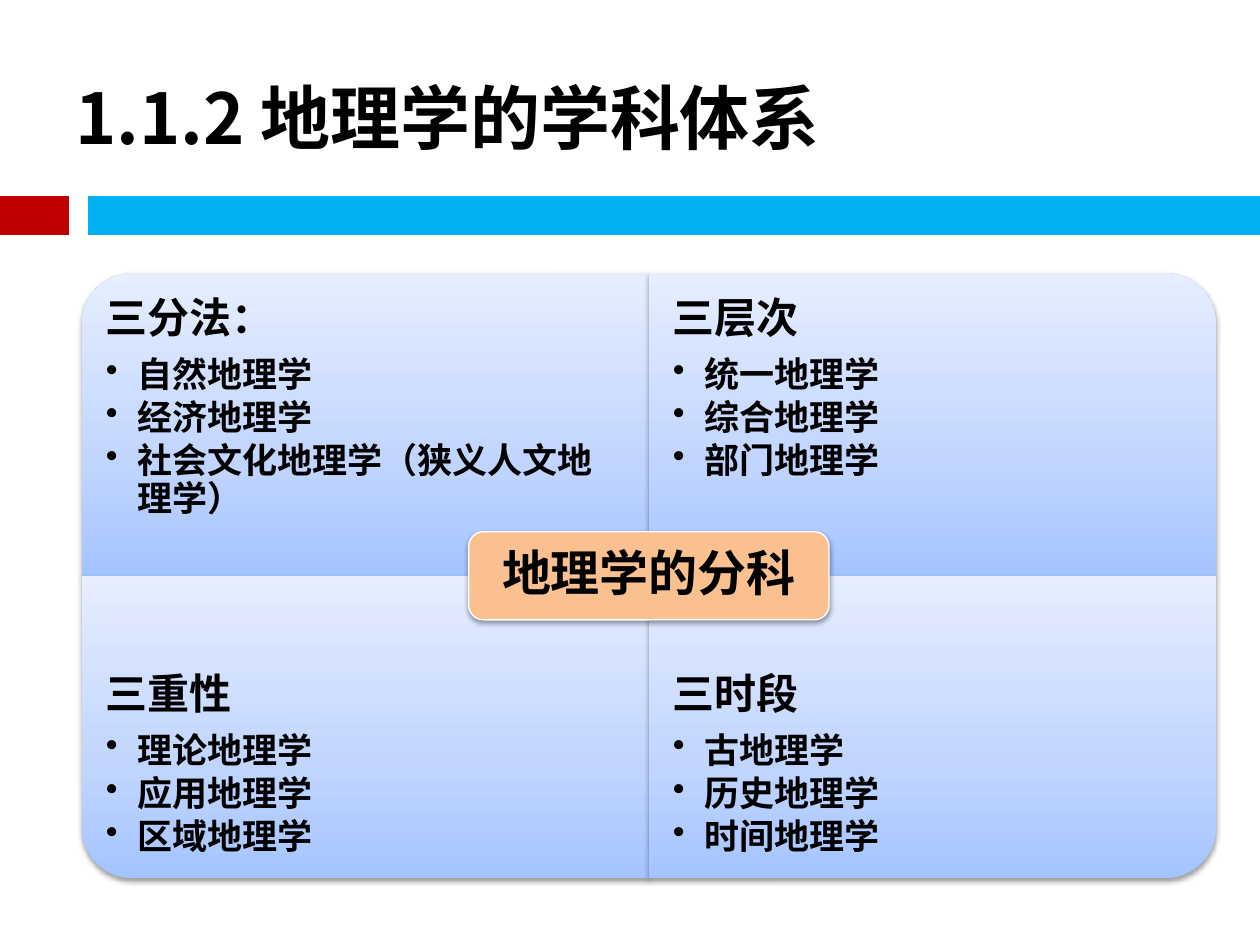
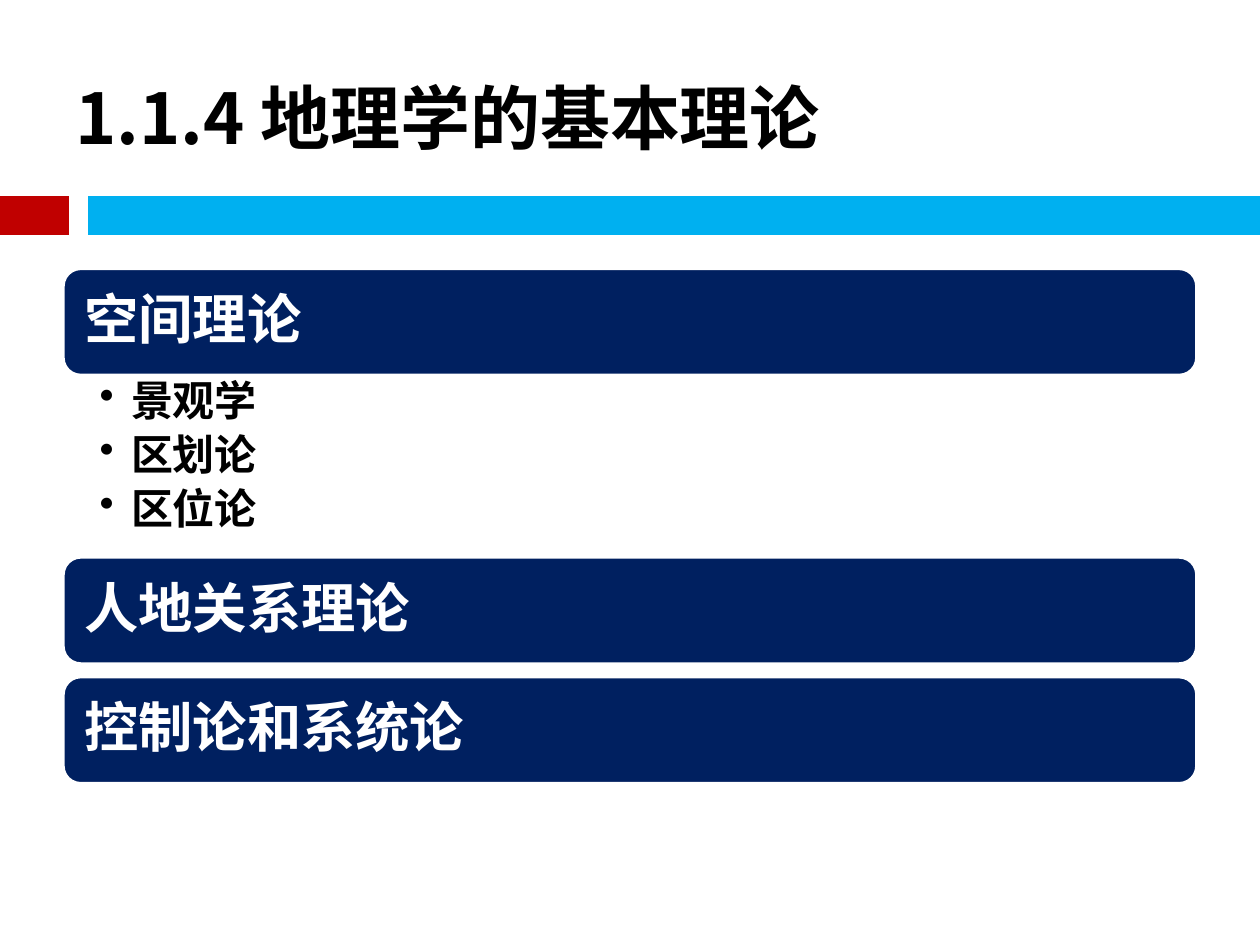
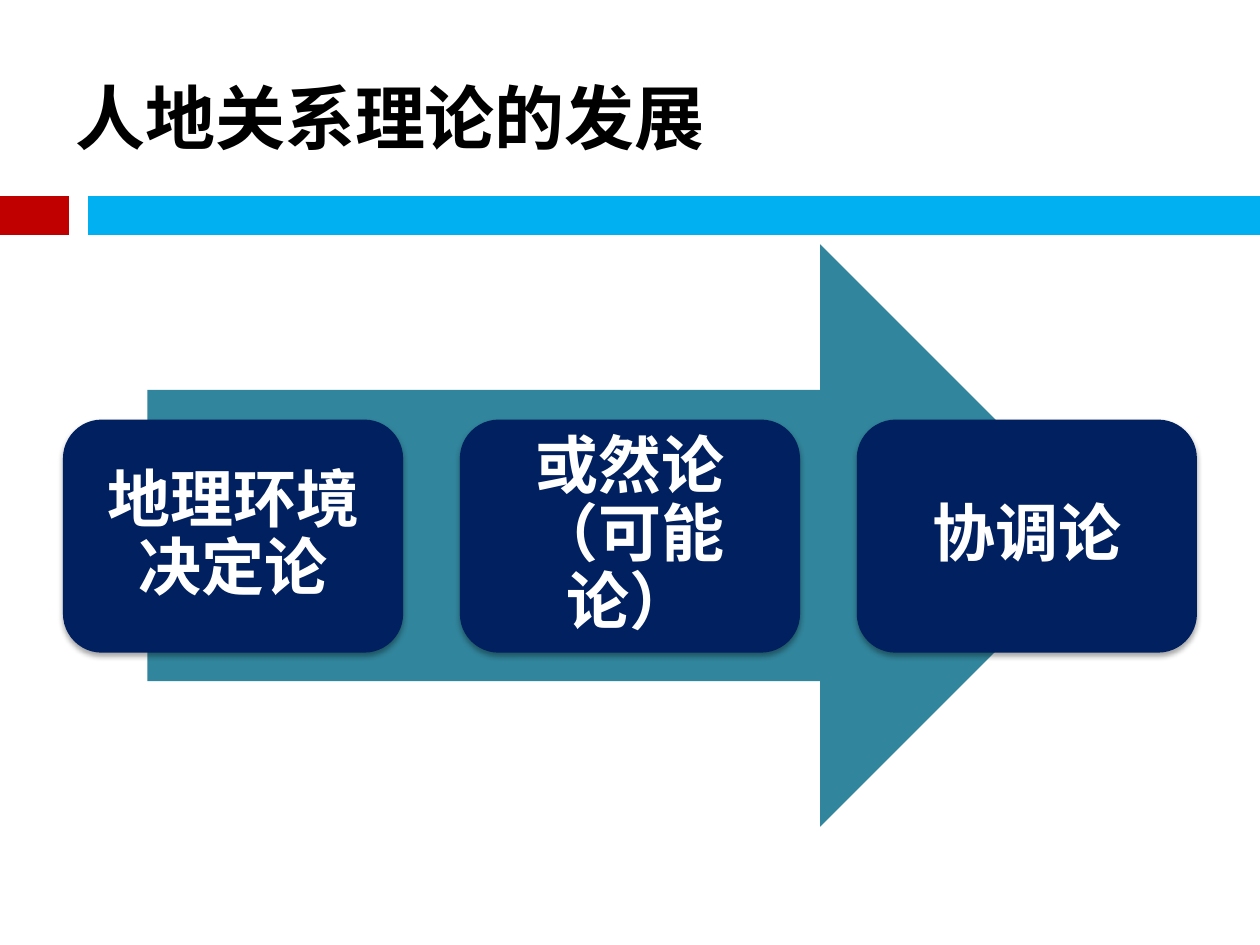
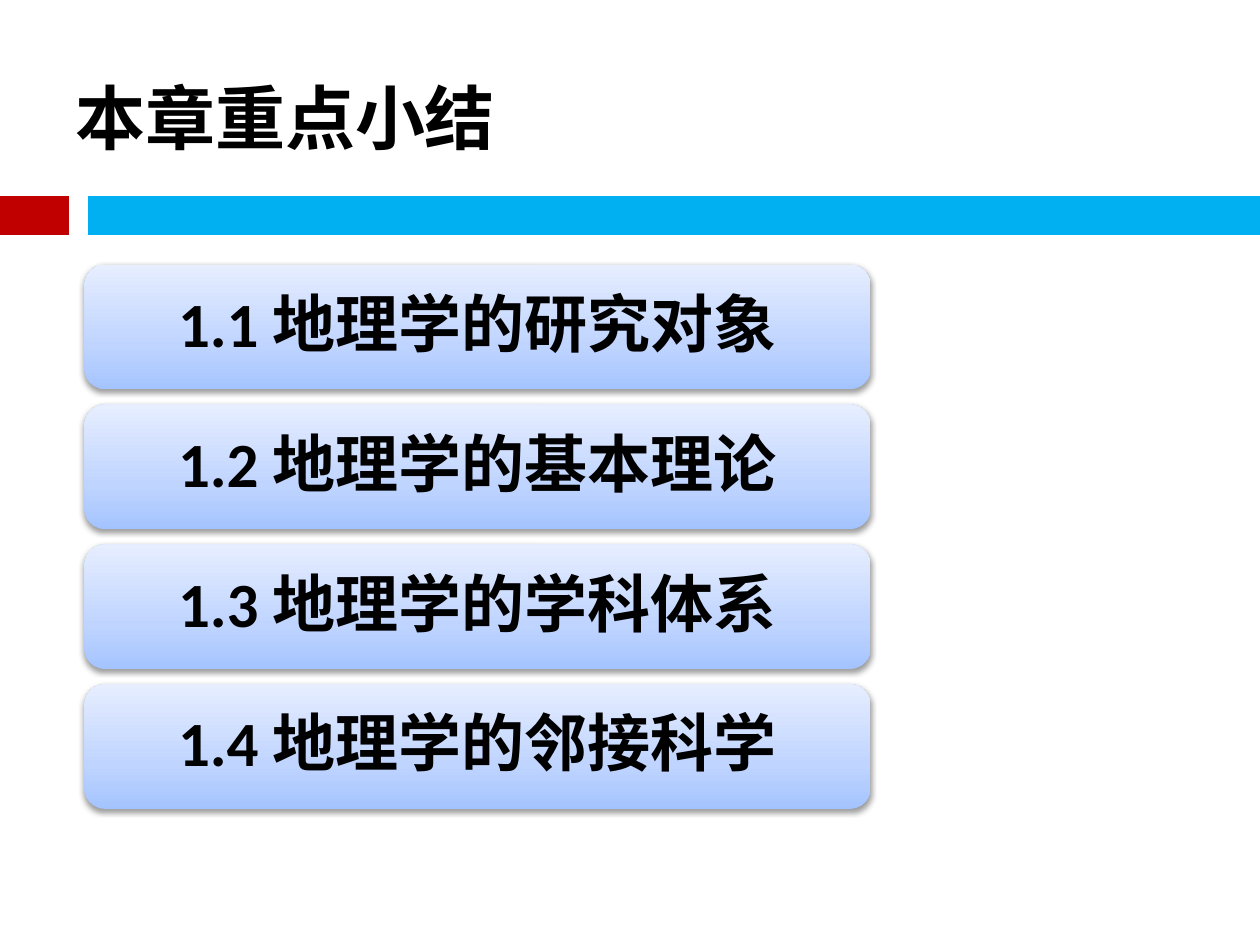
from pptx import Presentation
from pptx.dml.color import RGBColor
from pptx.enum.shapes import MSO_CONNECTOR, MSO_SHAPE
from pptx.enum.text import MSO_ANCHOR, PP_ALIGN
from pptx.oxml import parse_xml
from pptx.oxml.ns import nsdecls, qn
from pptx.oxml.xmlchemy import OxmlElement
from pptx.util import Inches, Pt

COLORS = {
    "black": "000000",
    "white": "FFFFFF",
    "red": "C00000",
    "sky": "00B0F0",
    "navy": "002060",
    "teal": "31859C",
    "peach": "FAC090",
}
GRADIENT_STOPS = [(0, "A4C4FF"), (35, "BFD4FF"), (100, "E6EEFF")]
TITLE_FONT = "Noto Sans CJK SC"
BODY_FONT = "Calibri"


class Deck:
    """Hold the shared style and the slide being built."""

    def __init__(self):
        self.presentation = Presentation()
        self.presentation.slide_width = Inches(10)
        self.presentation.slide_height = Inches(7.5)
        self.slide = None

    def new_slide(self, title):
        self.slide = self.presentation.slides.add_slide(self.presentation.slide_layouts[6])
        self.band(0, 0.55, "red")
        self.band(0.7, 10, "sky")
        box = self.slide.shapes.add_textbox(Inches(0.5), Inches(0.3), Inches(9), Inches(1.25))
        frame = box.text_frame
        frame.word_wrap = True
        frame.vertical_anchor = MSO_ANCHOR.MIDDLE
        frame.text = title
        self.style_runs(frame.paragraphs[0], 40, "black", TITLE_FONT)

    def band(self, start, end, color):
        line = self.slide.shapes.add_connector(
            MSO_CONNECTOR.STRAIGHT, Inches(start), Inches(1.71), Inches(end), Inches(1.71))
        line.line.color.rgb = RGBColor.from_string(COLORS[color])
        line.line.width = Pt(22)
        line._element.spPr.append(OxmlElement("a:effectLst"))

    def style_runs(self, paragraph, size, color, font=BODY_FONT):
        for run in paragraph.runs:
            run.font.size = Pt(size)
            run.font.bold = True
            run.font.name = font
            run.font.color.rgb = RGBColor.from_string(COLORS[color])
            east_asian = OxmlElement("a:ea")
            east_asian.set("typeface", font)
            run.font._element.append(east_asian)

    def shape(self, kind, left, top, width, height, fill=None, border=0, shadow=None):
        shape = self.slide.shapes.add_shape(
            kind, Inches(left), Inches(top), Inches(width), Inches(height))
        shape.shadow.inherit = False
        if fill:
            shape.fill.solid()
            shape.fill.fore_color.rgb = RGBColor.from_string(COLORS[fill])
        else:
            self.blue_gradient(shape)
        if border:
            shape.line.color.rgb = RGBColor.from_string(COLORS["white"])
            shape.line.width = Pt(border)
        else:
            shape.line.fill.background()
        if shadow:
            self.soft_shadow(shape, shadow)
        return shape

    def blue_gradient(self, shape):
        stops = "".join(
            f'<a:gs pos="{position * 1000}"><a:srgbClr val="{color}"/></a:gs>'
            for position, color in GRADIENT_STOPS)
        shape.fill.background()
        properties = shape._element.spPr
        properties.replace(properties.find(qn("a:noFill")), parse_xml(
            f'<a:gradFill {nsdecls("a")} rotWithShape="0"><a:gsLst>{stops}</a:gsLst>'
            '<a:lin ang="16200000" scaled="0"/></a:gradFill>'))

    def soft_shadow(self, shape, opacity):
        distance = Pt(1.8 if opacity == 35 else 1.6)
        shape._element.spPr.find(qn("a:effectLst")).append(parse_xml(
            f'<a:outerShdw {nsdecls("a")} blurRad="{Pt(3.1)}" dist="{distance}" '
            'dir="5400000" rotWithShape="0"><a:srgbClr val="000000">'
            f'<a:alpha val="{opacity * 1000}"/></a:srgbClr></a:outerShdw>'))

    def set_margins(self, frame, left, top, right, bottom):
        frame.word_wrap = True
        frame.margin_left, frame.margin_right = Inches(left), Inches(right)
        frame.margin_top, frame.margin_bottom = Inches(top), Inches(bottom)

    def label(self, shape, text, size, color, margin, align=PP_ALIGN.CENTER):
        frame = shape.text_frame
        self.set_margins(frame, margin, margin, margin, margin)
        frame.vertical_anchor = MSO_ANCHOR.MIDDLE
        frame.text = text
        paragraph = frame.paragraphs[0]
        paragraph.alignment = align
        paragraph.line_spacing = 0.9
        self.style_runs(paragraph, size, color)

    def bullet_list(self, area, margins, items, size, gap, heading=None, anchor=MSO_ANCHOR.TOP):
        box = self.slide.shapes.add_textbox(*[Inches(value) for value in area])
        frame = box.text_frame
        self.set_margins(frame, *margins)
        frame.vertical_anchor = anchor
        frame.text = "\n".join([heading, *items] if heading else items)
        for index, paragraph in enumerate(frame.paragraphs):
            is_heading = bool(heading) and index == 0
            if not is_heading:
                paragraph.level = 1
                properties = paragraph._element.get_or_add_pPr()
                properties.set("marL", str(Inches(0.25)))
                properties.set("indent", str(-Inches(0.25)))
                bullet = OxmlElement("a:buChar")
                bullet.set("char", "•")
                properties.append(bullet)
            paragraph.line_spacing = 0.9
            paragraph.space_after = Pt(8.4 if is_heading else gap)
            self.style_runs(paragraph, 24 if is_heading else size, "black")

    def quadrant(self, column, row, rotation, heading, items):
        width, height = 4.5, 2.4
        left, top = 0.65 + column * width, 2.17 + row * height
        if rotation in (90, 270):
            shift = (width - height) / 2
            frame = (left + shift, top - shift, height, width)
        else:
            frame = (left, top, width, height)
        shape = self.shape(MSO_SHAPE.ROUND_1_RECTANGLE, *frame, shadow=38)
        shape.rotation = rotation
        self.bullet_list(
            (left, top + row * 0.6, width, 1.8), (0.19,) * 4, items, 20, 3, heading,
            MSO_ANCHOR.MIDDLE if row else MSO_ANCHOR.TOP)


def build_branches(deck):
    """Four quadrants around the central topic."""
    deck.new_slide("1.1.2 地理学的学科体系")
    quadrants = [
        (0, 0, 270, "三分法：", ["自然地理学", "经济地理学", "社会文化地理学（狭义人文地理学）"]),
        (1, 0, 0, "三层次", ["统一地理学", "综合地理学", "部门地理学"]),
        (0, 1, 180, "三重性", ["理论地理学", "应用地理学", "区域地理学"]),
        (1, 1, 90, "三时段", ["古地理学", "历史地理学", "时间地理学"]),
    ]
    for quadrant in quadrants:
        deck.quadrant(*quadrant)
    center = deck.shape(
        MSO_SHAPE.ROUNDED_RECTANGLE, 3.72, 4.22, 2.86, 0.7, "peach", border=0.75, shadow=38)
    deck.label(center, "地理学的分科", 28, "black", 0.12)


def build_theories(deck):
    """Stacked theory bars with a list under the first."""
    deck.new_slide("1.1.4 地理学的基本理论")
    for top, theory in [(2.13, "空间理论"), (4.42, "人地关系理论"), (5.37, "控制论和系统论")]:
        bar = deck.shape(MSO_SHAPE.ROUNDED_RECTANGLE, 0.5, top, 9, 0.85, "navy", border=2)
        deck.label(bar, theory, 31, "white", 0.13, PP_ALIGN.LEFT)
    deck.bullet_list(
        (0.5, 2.98, 9, 1.44), (0.29, 0.04, 0.24, 0.04), ["景观学", "区划论", "区位论"], 24, 4.8)


def build_development(deck):
    """Three stages along an arrow."""
    deck.new_slide("人地关系理论的发展")
    deck.shape(MSO_SHAPE.RIGHT_ARROW, 1.17, 1.94, 7.65, 4.62, "teal")
    for index, stage in enumerate(["地理环境决定论", "或然论（可能论）", "协调论"]):
        card = deck.shape(
            MSO_SHAPE.ROUNDED_RECTANGLE, 0.5 + index * 3.15, 3.33, 2.7, 1.85, "navy", shadow=35)
        deck.label(card, stage, 36, "white", 0.15)


def build_summary(deck):
    """Four chapter headings in a column."""
    deck.new_slide("本章重点小结")
    topics = ["研究对象", "基本理论", "学科体系", "邻接科学"]
    for index, topic in enumerate(topics):
        card = deck.shape(
            MSO_SHAPE.ROUNDED_RECTANGLE, 0.67, 2.1 + index * 1.11, 6.24, 0.99, shadow=38)
        deck.label(card, f"1.{index + 1} 地理学的{topic}", 36, "black", 0.15)


def main():
    """Build and save the four slides."""
    deck = Deck()
    build_branches(deck)
    build_theories(deck)
    build_development(deck)
    build_summary(deck)
    deck.presentation.save("out.pptx")


if __name__ == "__main__":
    main()
